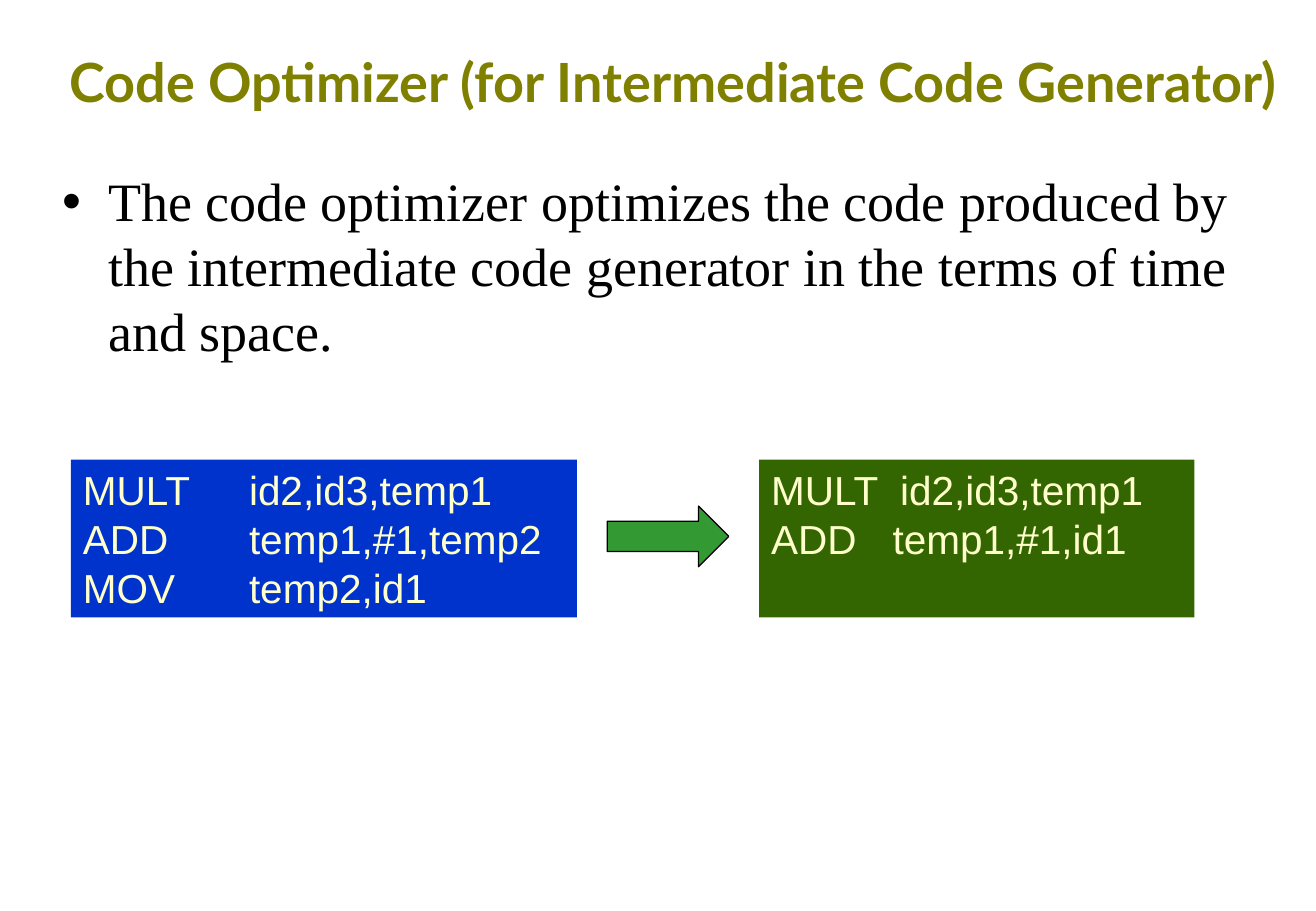
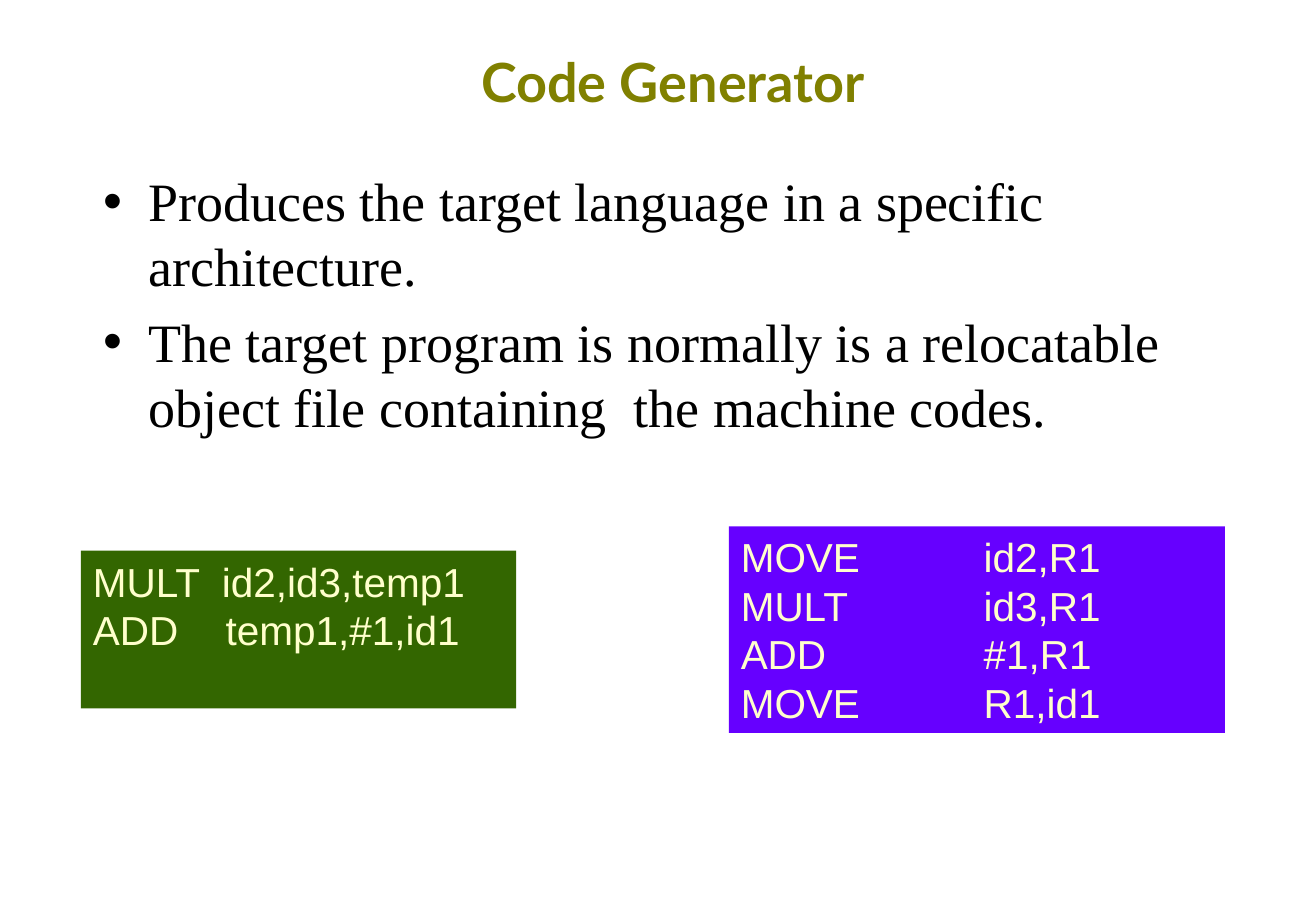
from dataclasses import dataclass

from lxml import etree
from pptx import Presentation
from pptx.dml.color import RGBColor
from pptx.enum.shapes import MSO_SHAPE
from pptx.enum.text import MSO_ANCHOR, MSO_AUTO_SIZE, PP_ALIGN
from pptx.oxml.ns import qn
from pptx.presentation import Presentation as Deck
from pptx.shapes.autoshape import Shape
from pptx.slide import Slide
from pptx.text.text import _Paragraph
from pptx.util import Pt

RECT, ARROW = MSO_SHAPE.RECTANGLE, MSO_SHAPE.RIGHT_ARROW
TOP, MIDDLE = MSO_ANCHOR.TOP, MSO_ANCHOR.MIDDLE
LEFT, CENTER = PP_ALIGN.LEFT, PP_ALIGN.CENTER
NO_FIT = MSO_AUTO_SIZE.NONE

OLIVE = RGBColor(0x80, 0x80, 0x00)
BLACK = RGBColor(0x00, 0x00, 0x00)
CREAM = RGBColor(0xFF, 0xFF, 0xCC)
BLUE = RGBColor(0x00, 0x33, 0xCC)
GREEN = RGBColor(0x33, 0x66, 0x00)
LIGHT_GREEN = RGBColor(0x33, 0x99, 0x33)
VIOLET = RGBColor(0x66, 0x00, 0xFF)

BULLET_INDENT = 27


@dataclass(frozen=True)
class Box:
    x: float
    y: float
    w: float
    h: float

    def lengths(self) -> tuple[Pt, Pt, Pt, Pt]:
        return Pt(self.x), Pt(self.y), Pt(self.w), Pt(self.h)


@dataclass(frozen=True)
class Font:
    name: str
    size: float
    color: RGBColor
    bold: bool = False


@dataclass(frozen=True)
class Instruction:
    op: str
    args: str
    column: float


@dataclass(frozen=True)
class CodeBlock:
    box: Box
    fill: RGBColor
    lines: tuple[Instruction, ...]


@dataclass(frozen=True)
class Page:
    title: str
    body: Box
    bullets: tuple[str, ...]
    blocks: tuple[CodeBlock, ...]
    arrow: Box | None = None


TITLE_BOX = Box(30, 12, 738, 72)
TITLE_FONT = Font("Lato", 32, OLIVE, True)
BODY_FONT = Font("Times New Roman", 32, BLACK)
CODE_FONT = Font("Arial", 24, CREAM)

PAGES = (
    Page(
        "Code Optimizer (for Intermediate Code Generator)",
        Box(30, 96, 738, 108),
        ("The code optimizer optimizes the code produced by the intermediate "
         "code generator in the terms of time and space.",),
        (
            CodeBlock(Box(42, 272.4, 300, 93.6), BLUE, (
                Instruction("MULT", "id2,id3,temp1", 98.5),
                Instruction("ADD", "temp1,#1,temp2", 98.5),
                Instruction("MOV", "temp2,id1", 98.5))),
            CodeBlock(Box(450, 272.4, 258, 93.6), GREEN, (
                Instruction("MULT", "id2,id3,temp1", 76.5),
                Instruction("ADD", "temp1,#1,id1", 72))),
        ),
        Box(360, 300, 72, 36),
    ),
    Page(
        "Code Generator",
        Box(54, 96, 642, 114),
        ("Produces the target language in a specific architecture.",
         "The target program is normally is a relocatable object file "
         "containing  the machine codes."),
        (
            CodeBlock(Box(48, 326.4, 258, 93.6), GREEN, (
                Instruction("MULT", "id2,id3,temp1", 76.5),
                Instruction("ADD", "temp1,#1,id1", 78.7))),
            CodeBlock(Box(432, 312, 294, 122.4), VIOLET, (
                Instruction("MOVE", "id2,R1", 144),
                Instruction("MULT", "id3,R1", 144),
                Instruction("ADD", "#1,R1", 144),
                Instruction("MOVE", "R1,id1", 144))),
        ),
    ),
)


def add_run(p: _Paragraph, text: str, font: Font) -> None:
    r = p.add_run()
    r.text = text
    r.font.name = font.name
    r.font.size = Pt(font.size)
    r.font.bold = font.bold
    r.font.color.rgb = font.color


def next_paragraph(shape: Shape, index: int) -> _Paragraph:
    tf = shape.text_frame
    return tf.add_paragraph() if index else tf.paragraphs[0]


def set_frame(shape: Shape, anchor: MSO_ANCHOR) -> None:
    tf = shape.text_frame
    tf.word_wrap = True
    tf.auto_size = NO_FIT
    tf.vertical_anchor = anchor


def set_bullet(p: _Paragraph) -> None:
    pPr = p._p.get_or_add_pPr()
    pPr.set("marL", str(Pt(BULLET_INDENT)))
    pPr.set("indent", str(-Pt(BULLET_INDENT)))
    etree.SubElement(pPr, qn("a:buFont")).set("typeface", "Arial")
    etree.SubElement(pPr, qn("a:buChar")).set("char", "•")


def set_tab(p: _Paragraph, position: float) -> None:
    tabs = etree.SubElement(p._p.get_or_add_pPr(), qn("a:tabLst"))
    tab = etree.SubElement(tabs, qn("a:tab"))
    tab.set("pos", str(Pt(position)))
    tab.set("algn", "l")


def add_title(s: Slide, text: str) -> None:
    sp = s.shapes.title
    sp.left, sp.top, sp.width, sp.height = TITLE_BOX.lengths()
    set_frame(sp, MIDDLE)
    p = sp.text_frame.paragraphs[0]
    p.alignment = CENTER
    add_run(p, text, TITLE_FONT)


def add_bullets(s: Slide, box: Box, bullets: tuple[str, ...]) -> None:
    sp = s.shapes.add_textbox(*box.lengths())
    set_frame(sp, TOP)
    for i, text in enumerate(bullets):
        p = next_paragraph(sp, i)
        p.space_before = Pt(6.4)
        set_bullet(p)
        add_run(p, text, BODY_FONT)


def add_filled(s: Slide, kind: MSO_SHAPE, box: Box, fill: RGBColor) -> Shape:
    sp = s.shapes.add_shape(kind, *box.lengths())
    sp.shadow.inherit = False
    sp.fill.solid()
    sp.fill.fore_color.rgb = fill
    sp.line.fill.background()
    return sp


def add_code(s: Slide, block: CodeBlock) -> None:
    sp = add_filled(s, RECT, block.box, block.fill)
    set_frame(sp, TOP)
    for i, line in enumerate(block.lines):
        p = next_paragraph(sp, i)
        p.alignment = LEFT
        set_tab(p, line.column)
        add_run(p, f"{line.op}\t{line.args}", CODE_FONT)


def add_arrow(s: Slide, box: Box) -> None:
    sp = add_filled(s, ARROW, box, LIGHT_GREEN)
    sp.line.color.rgb = BLACK
    sp.line.width = Pt(0.75)


def add_page(prs: Deck, page: Page) -> None:
    s = prs.slides.add_slide(prs.slide_layouts[5])
    add_title(s, page.title)
    add_bullets(s, page.body, page.bullets)
    for block in page.blocks:
        add_code(s, block)
    if page.arrow:
        add_arrow(s, page.arrow)


def main() -> None:
    prs = Presentation()
    prs.slide_width, prs.slide_height = Pt(780), Pt(540)
    for page in PAGES:
        add_page(prs, page)
    prs.save("out.pptx")


main()
